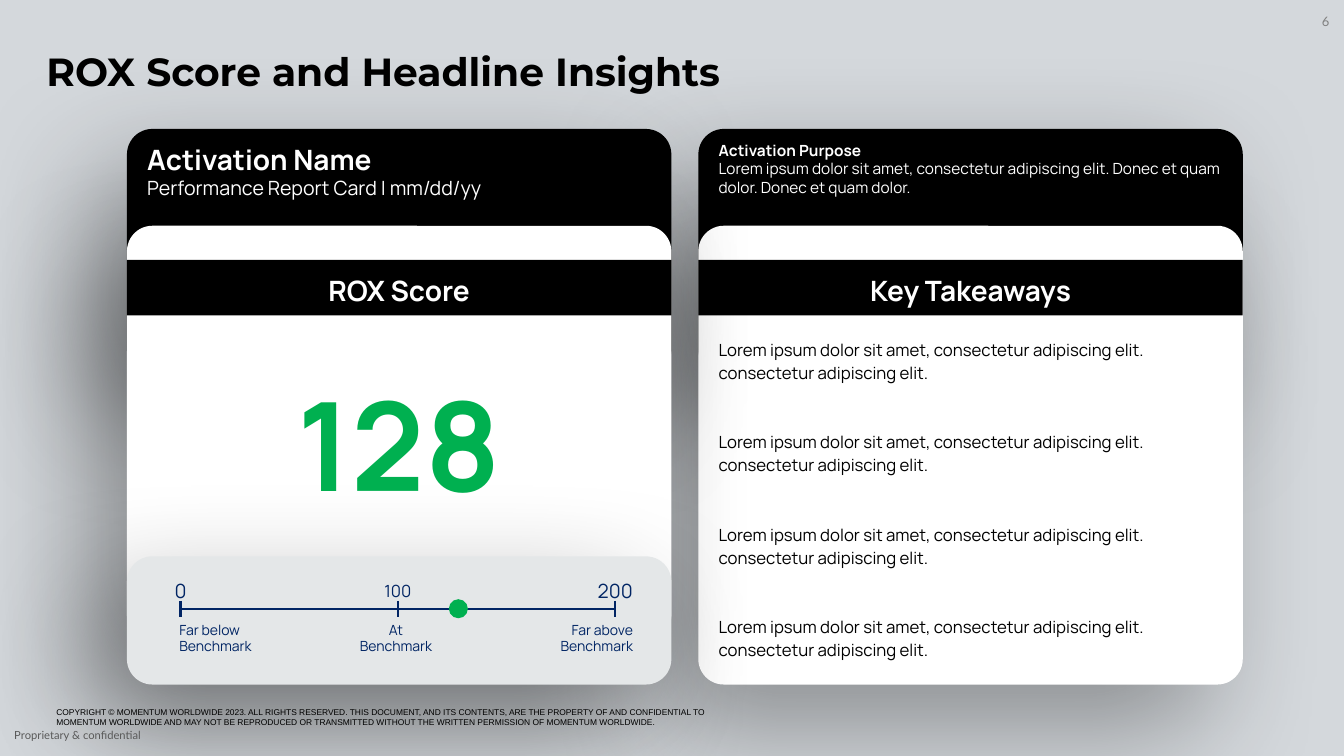
"""Build the ROX score and headline insights slide."""
from lxml import etree
from pptx import Presentation
from pptx.dml.color import RGBColor
from pptx.enum import shapes, text
from pptx.oxml import ns
from pptx.util import Cm, Pt

BLACK = RGBColor(0x00, 0x00, 0x00)
WHITE = RGBColor(0xFF, 0xFF, 0xFF)
BACKDROP = RGBColor(0xD4, 0xD8, 0xDC)
PANEL = RGBColor(0xE4, 0xE7, 0xE8)
NAVY = RGBColor(0x01, 0x25, 0x64)
GREEN = RGBColor(0x00, 0xB0, 0x50)
GREY = RGBColor(0x80, 0x80, 0x80)
DARK_GREY = RGBColor(0x59, 0x59, 0x59)

LEFT, CENTER, RIGHT = text.PP_ALIGN.LEFT, text.PP_ALIGN.CENTER, text.PP_ALIGN.RIGHT
TOP, MIDDLE = text.MSO_ANCHOR.TOP, text.MSO_ANCHOR.MIDDLE
RECT, ROUND, OVAL = (shapes.MSO_SHAPE.RECTANGLE, shapes.MSO_SHAPE.ROUNDED_RECTANGLE,
                     shapes.MSO_SHAPE.OVAL)

TITLE = "ROX Score and Headline Insights"
SCORE, SCALE_MAX = 128, 200
ACTIVATION = [("Activation Name", 20, True),
              ("Performance Report Card | mm/dd/yy", 14, False)]
PURPOSE = [("Activation Purpose", 11, True),
           ("Lorem ipsum dolor sit amet, consectetur adipiscing elit. "
            "Donec et quam dolor. Donec et quam dolor.", 11, False)]
TAKEAWAYS = ["Lorem ipsum dolor sit amet, consectetur adipiscing elit. "
             "consectetur adipiscing elit."] * 4
COPYRIGHT = ("COPYRIGHT © MOMENTUM WORLDWIDE 2023. ALL RIGHTS RESERVED. THIS DOCUMENT, "
             "AND ITS CONTENTS, ARE THE PROPERTY OF AND CONFIDENTIAL TO MOMENTUM WORLDWIDE "
             "AND MAY NOT BE REPRODUCED OR TRANSMITTED WITHOUT THE WRITTEN PERMISSION OF "
             "MOMENTUM WORLDWIDE.")
SCALE_LABELS = [("0", 14, LEFT, 4.4, 0.71), ("100", 12, CENTER, 9.65, 0.76),
                ("200", 14, RIGHT, 15.01, 0.94)]
BENCHMARKS = [(["Far below Benchmark"], LEFT, 4.52, 2.01),
              (["At Benchmark"], CENTER, 8.89, 2.18),
              (["Far above", "Benchmark"], RIGHT, 13.77, 2.18)]

SCORE_X, TAKEAWAYS_X, CARD_W = 3.2, 17.6, 13.72
HEAD_Y, HEAD_H, BODY_Y, CARD_BOTTOM = 3.25, 6.2, 5.69, 17.25
BAND_Y, BAND_H, PANEL_Y = 6.55, 1.4, 14.02
CORNER = 0.64
AXIS_X, AXIS_W, AXIS_Y, TICK, DOT = 4.55, 10.94, 15.34, 0.4, 0.48


def write(frame, lines, size=12, font="Manrope", color=BLACK, bold=False, align=LEFT,
          anchor=TOP, insets=(0, 0, 0, 0), spacing=None):
    """Fill a frame with lines, each a string or a (string, size, bold) tuple."""
    frame.word_wrap = True
    frame.vertical_anchor = anchor
    frame.margin_left, frame.margin_top, frame.margin_right, frame.margin_bottom = map(Cm, insets)
    for index, line in enumerate(lines):
        words, points, heavy = (line, size, bold) if isinstance(line, str) else line
        para = frame.add_paragraph() if index else frame.paragraphs[0]
        para.alignment = align
        para.line_spacing = spacing
        span = para.add_run()
        span.text = words
        span.font.name, span.font.size, span.font.bold = font, Pt(points), heavy
        span.font.color.rgb = color


def add_text(page, x, y, w, h, lines, **style):
    """Add a text box."""
    box = page.shapes.add_textbox(Cm(x), Cm(y), Cm(w), Cm(h))
    write(box.text_frame, lines, **style)


def add_block(page, kind, x, y, w, h, color):
    """Add a plain filled shape."""
    block = page.shapes.add_shape(kind, Cm(x), Cm(y), Cm(w), Cm(h))
    block.shadow.inherit = False
    block.fill.solid()
    block.fill.fore_color.rgb = color
    block.line.fill.background()
    return block


def add_card(page, x, y, h, color):
    """Add a rounded card with a wide soft shadow."""
    card = add_block(page, ROUND, x, y, CARD_W, h, color)
    card.adjustments[0] = CORNER / h
    effects = card._element.spPr.find(ns.qn("a:effectLst"))
    shadow = etree.SubElement(effects, ns.qn("a:outerShdw"), blurRad=str(Pt(88)),
                              dist=str(Pt(39)), dir=str(130 * 60000), algn="ctr",
                              rotWithShape="0")
    tint = etree.SubElement(shadow, ns.qn("a:srgbClr"), val=str(BLACK))
    etree.SubElement(tint, ns.qn("a:alpha"), val="35000")


def add_band(page, x, heading):
    """Add the black heading band of a card."""
    band = add_block(page, RECT, x, BAND_Y, CARD_W, BAND_H, BLACK)
    write(band.text_frame, [heading], size=20, color=WHITE, bold=True, align=CENTER,
          anchor=MIDDLE, insets=(0.25, 0.25, 0.25, 0.13))


def add_line(page, x1, y1, x2, y2):
    """Add a navy scale line."""
    line = page.shapes.add_connector(shapes.MSO_CONNECTOR.STRAIGHT,
                                     Cm(x1), Cm(y1), Cm(x2), Cm(y2))
    line.line.color.rgb = NAVY
    line.line.width = Pt(1.5)
    etree.SubElement(line._element.spPr, ns.qn("a:effectLst"))


def scale_x(value):
    """Return the place of a value on the scale."""
    return AXIS_X + AXIS_W * value / SCALE_MAX


def add_scale(page):
    """Add the benchmark scale with its labels and score marker."""
    for label, size, align, x, w in SCALE_LABELS:
        add_text(page, x, 14.53, w, 0.71, [label], size=size, color=NAVY, align=align,
                 anchor=MIDDLE)
    add_line(page, AXIS_X, AXIS_Y, AXIS_X + AXIS_W, AXIS_Y)
    for value in (0, SCALE_MAX / 2, SCALE_MAX):
        add_line(page, scale_x(value), AXIS_Y - TICK / 2, scale_x(value), AXIS_Y + TICK / 2)
    for lines, align, x, w in BENCHMARKS:
        add_text(page, x, 15.72, w, 0.71, lines, size=10, color=NAVY, align=align,
                 anchor=MIDDLE)
    add_block(page, OVAL, scale_x(SCORE) - DOT / 2, AXIS_Y - DOT / 2, DOT, DOT, GREEN)


def add_takeaways(page):
    """Add the one-column table of takeaways."""
    top = BAND_Y + BAND_H
    frame = page.shapes.add_table(len(TAKEAWAYS), 1, Cm(TAKEAWAYS_X), Cm(top),
                                  Cm(CARD_W), Cm(CARD_BOTTOM - top))
    table = frame.table
    table.first_row = table.horz_banding = False
    style = next(frame._element.iter(ns.qn("a:tableStyleId")))
    style.text = "{2D5ABB26-0587-4C30-8999-92F81FD0307C}"
    for cell, takeaway in zip(table.iter_cells(), TAKEAWAYS):
        cell.fill.background()
        cell.vertical_anchor = MIDDLE
        cell.margin_left = cell.margin_right = Cm(0.51)
        cell.margin_top = cell.margin_bottom = Cm(0.13)
        span = cell.text_frame.paragraphs[0].add_run()
        span.text = takeaway
        span.font.name, span.font.size = "Manrope", Pt(12)
        span.font.color.rgb = BLACK


def main():
    """Build and save the deck."""
    deck = Presentation()
    deck.slide_width, deck.slide_height = Cm(33.87), Cm(19.05)
    page = deck.slides.add_slide(deck.slide_layouts[5])
    page.background.fill.solid()
    page.background.fill.fore_color.rgb = BACKDROP

    title = page.shapes.title
    title.left, title.top, title.width, title.height = Cm(1.17), Cm(1.37), Cm(31.55), Cm(1.6)
    write(title.text_frame, [TITLE], size=28, font="Montserrat", bold=True, spacing=0.85)

    add_text(page, 1.17, 17.68, 16.94, 1, [COPYRIGHT], size=6, font="Arial",
             insets=(0.25, 0.13, 0.25, 0.13))
    for x, body_bottom in ((TAKEAWAYS_X, CARD_BOTTOM), (SCORE_X, 16.13)):
        add_card(page, x, HEAD_Y, HEAD_H, BLACK)
        add_card(page, x, BODY_Y, body_bottom - BODY_Y, WHITE)
    add_card(page, SCORE_X, PANEL_Y, CARD_BOTTOM - PANEL_Y, PANEL)

    add_text(page, 32.79, 0.18, 0.71, 0.74, ["6"], size=9.3, font="Lato", color=GREY,
             align=RIGHT, anchor=MIDDLE, spacing=0.9)
    add_text(page, 0.36, 18.36, 12.83, 0.33, ["Proprietary & confidential"], size=8,
             font="Lato", color=DARK_GREY)
    add_text(page, SCORE_X, 3.3, CARD_W, 2.03, ACTIVATION, color=WHITE, anchor=MIDDLE,
             insets=(0.51, 0.13, 0.51, 0.13))
    add_text(page, TAKEAWAYS_X, 3.3, CARD_W, 2.03, PURPOSE, color=WHITE,
             insets=(0.51, 0.25, 0.51, 0.25))
    add_band(page, SCORE_X, "ROX Score")
    add_band(page, TAKEAWAYS_X, "Key Takeaways")
    add_text(page, SCORE_X, 10.39, CARD_W, 1.4, [str(SCORE)], size=88, color=GREEN, bold=True,
             align=CENTER, anchor=MIDDLE, insets=(0.25, 0.25, 0.25, 0.13))
    add_scale(page)
    add_takeaways(page)
    deck.save("out.pptx")


if __name__ == "__main__":
    main()
